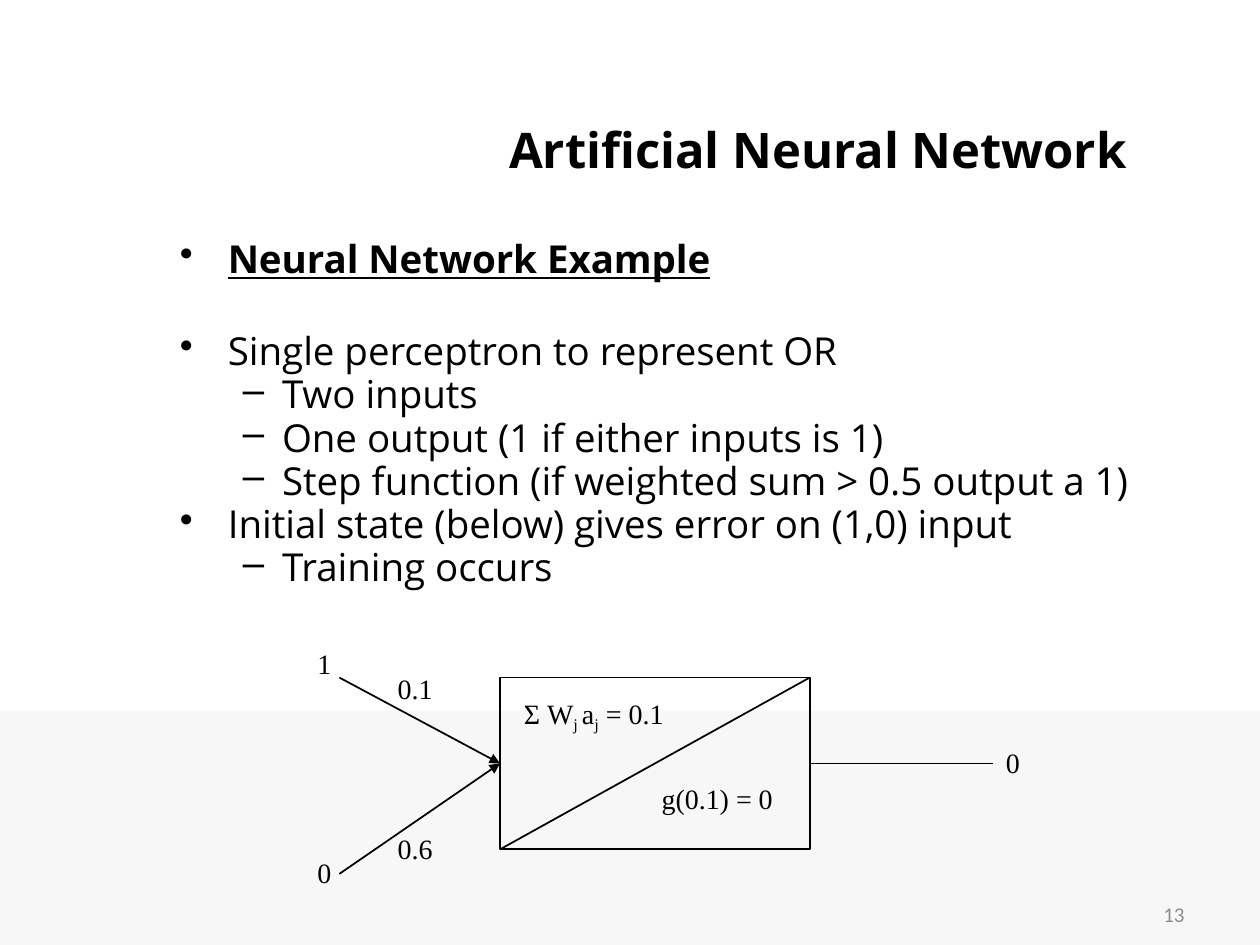
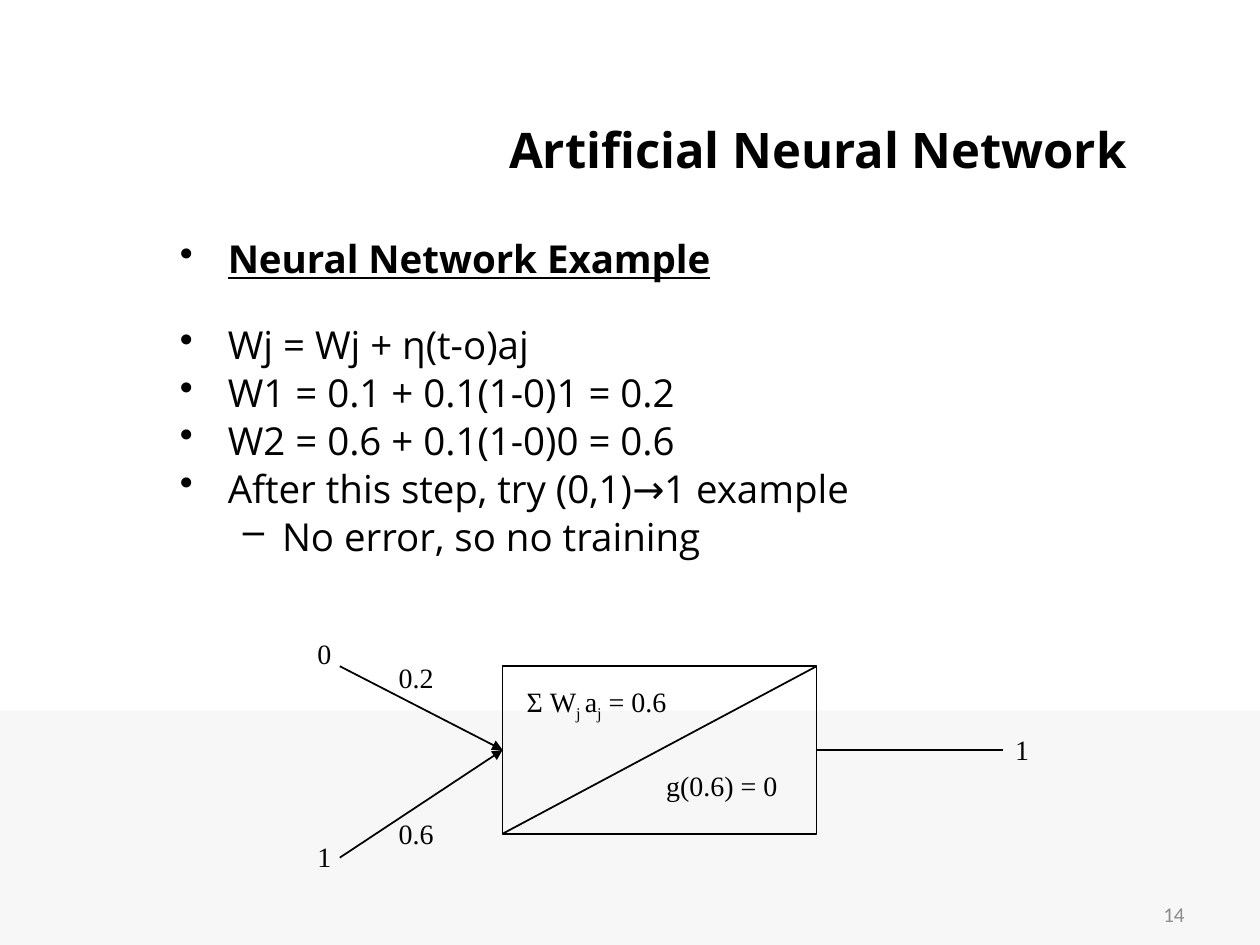
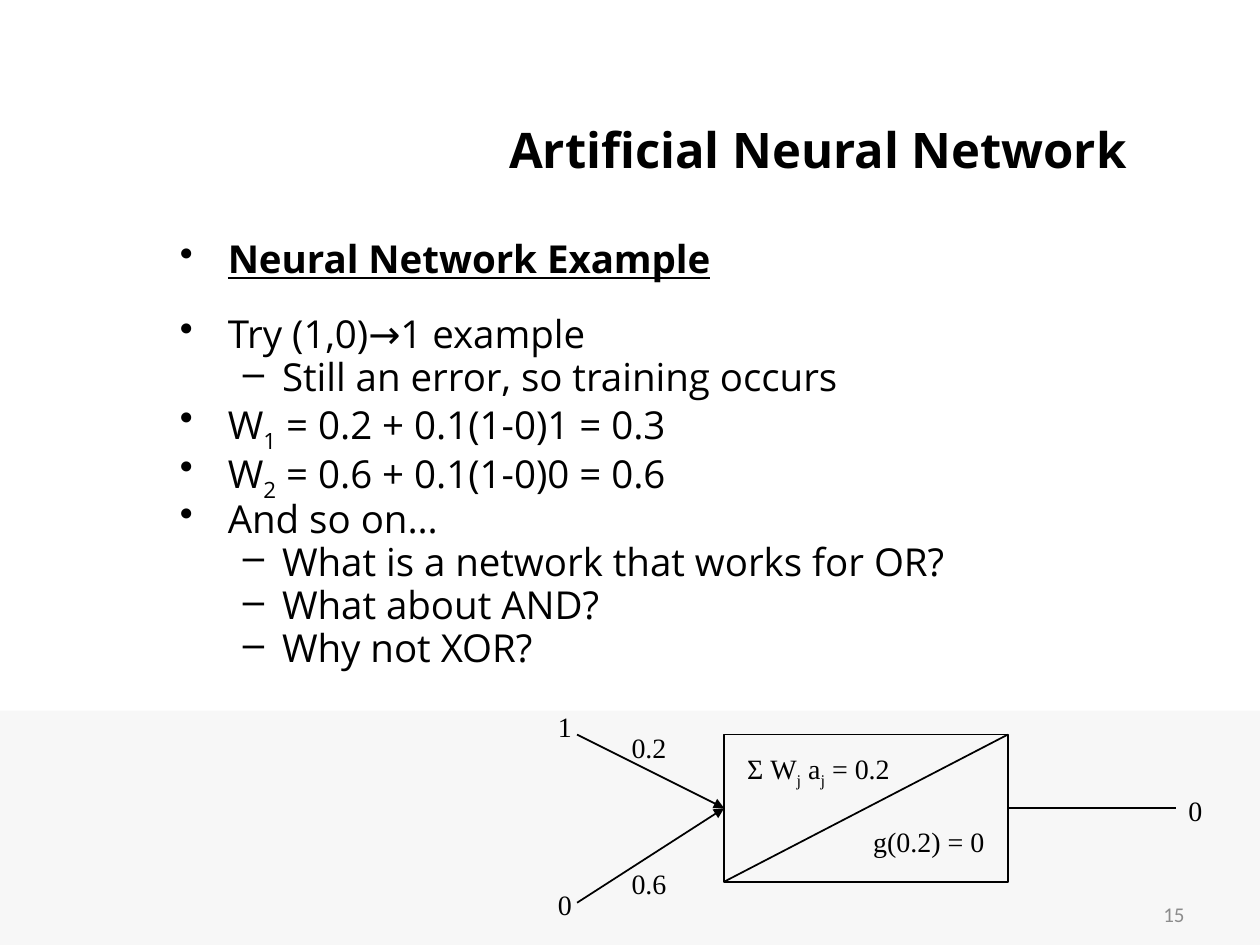
"""Build three slides on training a single perceptron to represent OR."""
from lxml import etree
from pptx import Presentation
from pptx import util as u
from pptx.dml.color import RGBColor
from pptx.enum import shapes, text
from pptx.oxml.ns import qn

BLACK = RGBColor(0x00, 0x00, 0x00)
GREY = RGBColor(0x8C, 0x8C, 0x8C)
PALE = RGBColor(0xF7, 0xF7, 0xF7)
BODY_FONT, LABEL_FONT, NUMBER_FONT = "Open Sans", "Times New Roman", "Calibri"
BULLETS = (("•", 0.38, 0.38), ("–", 0.81, 0.31))
GRID_COLS, GRID_ROWS, LABEL_ROWS = 65, 21.4, 4.4


class Deck:
    """Hold the shared style, the current slide and the current diagram grid."""

    def __init__(self):
        """Start an empty 10 by 7.5 inch presentation."""
        self.prs = Presentation()
        self.prs.slide_width, self.prs.slide_height = u.Inches(10), u.Inches(7.5)

    def share(self, left, top, width, height):
        """Turn percentages of the slide into lengths."""
        x, y = self.prs.slide_width / 100, self.prs.slide_height / 100
        return int(left * x), int(top * y), int(width * x), int(height * y)

    def cell(self, col, row):
        """Return the position of a diagram grid point."""
        left, top, width, height = self.frame
        return int(left + col * width / GRID_COLS), int(top + row * height / GRID_ROWS)

    def span(self, col, row, cols, rows):
        """Return the place of a block of diagram grid cells."""
        left, top = self.cell(col, row)
        right, bottom = self.cell(col + cols, row + rows)
        return left, top, right - left, bottom - top

    def style(self, p, size, font, color=BLACK, bold=None, underline=None):
        """Format every run of a paragraph."""
        for r in p.runs:
            r.font.size, r.font.name = u.Pt(size), font
            r.font.color.rgb = color
            r.font.bold, r.font.underline = bold, underline

    def add_runs(self, p, marked):
        """Fill a paragraph, lowering the parts between underscores."""
        for i, part in enumerate(marked.split("_")):
            r = p.add_run()
            r.text = part
            if i % 2:
                r.font._element.set("baseline", "-25000")

    def bullet(self, p, level):
        """Give a paragraph the bullet and hanging indent of its level."""
        char, margin, hang = BULLETS[level]
        p.level = level
        pPr = p._p.get_or_add_pPr()
        pPr.set("marL", str(u.Inches(margin)))
        pPr.set("indent", str(-u.Inches(hang)))
        etree.SubElement(pPr, qn("a:buChar")).set("char", char)

    def textbox(self, place, parent=None, anchor=text.MSO_ANCHOR.TOP):
        """Add a wrapping text box and return its text frame."""
        tf = (parent or self.s).shapes.add_textbox(*place).text_frame
        tf.word_wrap, tf.vertical_anchor = True, anchor
        return tf

    def slide(self, title, subtitle, number):
        """Add a slide with its band, title, subtitle and number."""
        self.s = self.prs.slides.add_slide(self.prs.slide_layouts[5])
        middle = text.MSO_ANCHOR.MIDDLE
        band = self.rect(self.s, self.share(0, 75.2, 100, 24.8))
        band.fill.solid()
        band.fill.fore_color.rgb = PALE
        band.line.fill.background()

        sp = self.s.shapes.title
        sp.left, sp.top, sp.width, sp.height = self.share(34.2, 10, 61.4, 11.6)
        tf = sp.text_frame
        tf.text, tf.vertical_anchor = title, middle
        p = tf.paragraphs[0]
        p.alignment = text.PP_ALIGN.CENTER
        self.style(p, 28, BODY_FONT, bold=True)

        p = self.textbox(self.share(13.3, 23.7, 82.3, 7.3), anchor=middle).paragraphs[0]
        p.text = subtitle
        self.bullet(p, 0)
        self.style(p, 22, BODY_FONT, bold=True, underline=True)

        p = self.textbox(self.share(71.7, 94.1, 23.3, 5.3), anchor=middle).paragraphs[0]
        p.text, p.alignment = str(number), text.PP_ALIGN.RIGHT
        self.style(p, 12, NUMBER_FONT, GREY)

    def body(self, top, height, spacing, items):
        """Add the bulleted list of (level, text) items."""
        tf = self.textbox(self.share(13.3, top, 80.8, height))
        for i, (level, marked) in enumerate(items):
            p = tf.add_paragraph() if i else tf.paragraphs[0]
            self.add_runs(p, marked)
            self.bullet(p, level)
            p.line_spacing = spacing
            p.space_before = u.Pt(1 if i else 0)
            self.style(p, 22, BODY_FONT)

    def rect(self, parent, place):
        """Add a plain rectangle without fill."""
        sp = parent.shapes.add_shape(shapes.MSO_SHAPE.RECTANGLE, *place)
        sp.shadow.inherit = False
        sp.fill.background()
        sp.line.color.rgb, sp.line.width = BLACK, u.Pt(1)
        return sp

    def line(self, parent, start, end, arrow=False):
        """Add a straight line between two grid points."""
        cx = parent.shapes.add_connector(
            shapes.MSO_CONNECTOR.STRAIGHT, *self.cell(*start), *self.cell(*end))
        cx.line.color.rgb, cx.line.width = BLACK, u.Pt(1)
        if arrow:
            etree.SubElement(cx.line._get_or_add_ln(), qn("a:tailEnd")).set("type", "triangle")
        etree.SubElement(cx._element.spPr, qn("a:effectLst"))
        return cx

    def label(self, parent, col, row, cols, marked):
        """Add a diagram label at a grid point."""
        p = self.textbox(self.span(col, row, cols, LABEL_ROWS), parent).paragraphs[0]
        self.add_runs(p, marked)
        self.style(p, 16, LABEL_FONT)

    def perceptron(self, frame, inputs, weights, total, step, output):
        """Draw a two-input perceptron inside a frame."""
        self.frame = self.share(*frame)
        grp = self.s.shapes.add_group_shape()
        unit = self.rect(grp, self.span(17, 3, 27, 14))
        self.line(grp, (44, 10), (60, 10)).begin_connect(unit, 3)
        for row in (3, 19):
            self.line(grp, (3, row), (17, 10), arrow=True).end_connect(unit, 1)
        self.line(grp, (17, 17), (44, 3))
        for row, value, weight_row, weight in zip((0, 17), inputs, (2, 15), weights):
            self.label(grp, 0, row, 5, value)
            self.label(grp, 7, weight_row, 7, weight)
        self.label(grp, 18, 4, 18, total)
        self.label(grp, 30, 11, 14, step)
        self.label(grp, 60, 8, 5, output)


SLIDES = (
    dict(
        body=(34.5, 59.7, 0.9, (
            (0, "Single perceptron to represent OR"),
            (1, "Two inputs"),
            (1, "One output (1 if either inputs is 1)"),
            (1, "Step function (if weighted sum > 0.5 output a 1)"),
            (0, "Initial state (below) gives error on (1,0) input"),
            (1, "Training occurs"))),
        perceptron=((24.2, 67.8, 59.2, 27.8), ("1", "0"), ("0.1", "0.6"),
                    "Σ W_j _a_j_ = 0.1", "g(0.1) = 0", "0")),
    dict(
        body=(33.3, 55.5, 1.0, (
            (0, "Wj = Wj + η(t-o)aj"),
            (0, "W1 = 0.1 + 0.1(1-0)1 = 0.2"),
            (0, "W2 = 0.6 + 0.1(1-0)0 = 0.6"),
            (0, "After this step, try (0,1)→1 example"),
            (1, "No error, so no training"))),
        perceptron=((24.2, 66.7, 60, 27.1), ("0", "1"), ("0.2", "0.6"),
                    "Σ W_j _a_j_ = 0.6", "g(0.6) = 0", "1")),
    dict(
        body=(32.7, 55.5, 0.9, (
            (0, "Try (1,0)→1 example"),
            (1, "Still an error, so training occurs"),
            (0, "W_1_ = 0.2 + 0.1(1-0)1 = 0.3"),
            (0, "W_2_ = 0.6 + 0.1(1-0)0 = 0.6"),
            (0, "And so on…"),
            (1, "What is a network that works for OR?"),
            (1, "What about AND?"),
            (1, "Why not XOR?"))),
        perceptron=((43.3, 74.4, 54.2, 23.8), ("1", "0"), ("0.2", "0.6"),
                    "Σ W_j_ a_j_ = 0.2", "g(0.2) = 0", "0")),
)


def main():
    """Build and save the slides."""
    deck = Deck()
    for number, content in enumerate(SLIDES, 13):
        deck.slide("Artificial Neural Network", "Neural Network Example", number)
        deck.body(*content["body"])
        deck.perceptron(*content["perceptron"])
    deck.prs.save("out.pptx")


if __name__ == "__main__":
    main()
